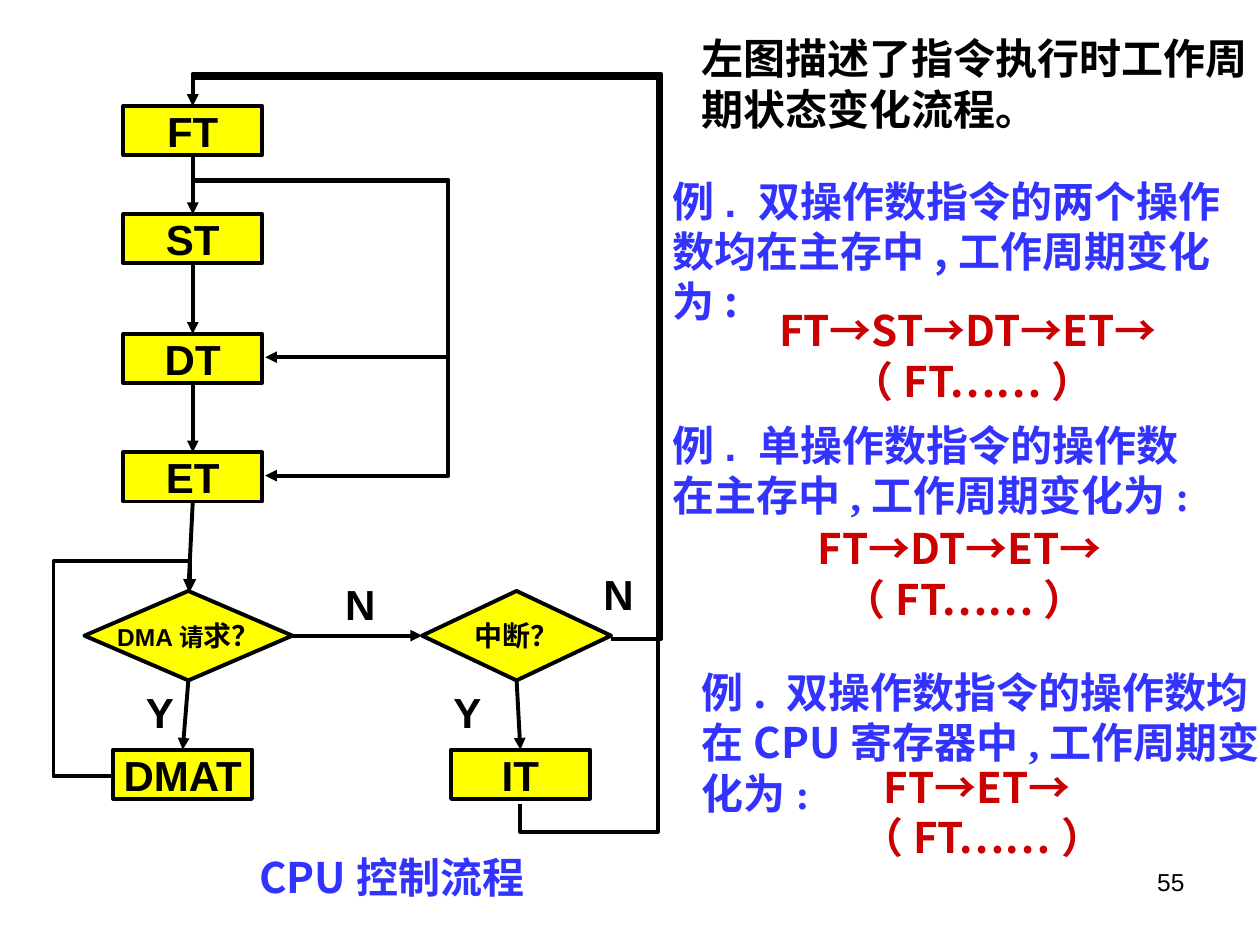
"""Build the slide showing how the CPU moves between work cycles."""
from dataclasses import dataclass
from typing import Any

from pptx import Presentation
from pptx.dml.color import RGBColor
from pptx.enum.shapes import MSO_CONNECTOR as Link, MSO_SHAPE as Shape
from pptx.enum.text import MSO_ANCHOR as Anchor, MSO_AUTO_SIZE as Fit, PP_ALIGN as Align
from pptx.oxml.ns import qn
from pptx.util import Inches, Pt

BLACK = RGBColor(0, 0, 0)
YELLOW = RGBColor(0xFF, 0xFF, 0)
BLUE = RGBColor(0x33, 0x33, 0xFF)
RED = RGBColor(0xCB, 0x01, 0x01)
ARIAL, TIMES, NOTO = "Arial", "Times New Roman", "Noto Sans CJK SC"
TOP, LEFT, BOTTOM, RIGHT = range(4)


def write(frame, *runs, size=24, color=BLACK, font=ARIAL, bold=True,
          align=Align.LEFT, anchor=Anchor.TOP, wrap=True):
    frame.word_wrap = wrap
    frame.vertical_anchor = anchor
    para = frame.paragraphs[0]
    para.alignment = align
    for item in runs:
        text, style = (item, {}) if isinstance(item, str) else item
        run = para.add_run()
        run.text = text
        run.font.size = Pt(style.get("size", size))
        run.font.bold = bold
        run.font.color.rgb = color
        run.font.name = style.get("font", font)
        east = run.font._element.makeelement(qn("a:ea"), {"typeface": NOTO})
        run.font._element.find(qn("a:latin")).addnext(east)


@dataclass
class Board:
    slide: Any
    fill: RGBColor = YELLOW
    ink: RGBColor = BLACK
    width: float = 2.25

    def node(self, kind, box, *runs, size=24):
        shape = self.slide.shapes.add_shape(kind, *map(Inches, box))
        shape.shadow.inherit = False
        shape.fill.solid()
        shape.fill.fore_color.rgb = self.fill
        shape.line.color.rgb = self.ink
        shape.line.width = Pt(self.width)
        write(shape.text_frame, *runs, size=size, align=Align.CENTER,
              anchor=Anchor.MIDDLE, wrap=False)
        return shape

    def step(self, left, top, text):
        return self.node(Shape.FLOWCHART_PROCESS, (left, top, 1.1, 0.39), text)

    def test(self, left, width, *runs):
        return self.node(Shape.FLOWCHART_DECISION, (left, 4.69, width, 0.71), *runs, size=16)

    def line(self, kind, *ends):
        line = self.slide.shapes.add_connector(kind, *map(Inches, ends))
        line.line.color.rgb = self.ink
        line.line.width = Pt(self.width)
        props = line._element.spPr
        stroke = props.find(qn("a:ln"))
        stroke.append(stroke.makeelement(qn("a:tailEnd"), {"type": "triangle"}))
        props.append(props.makeelement(qn("a:effectLst"), {}))
        return line

    def arrow(self, start, out, end, into):
        line = self.line(Link.STRAIGHT, 0, 0, 1, 1)
        line.begin_connect(start, out)
        line.end_connect(end, into)

    def bend(self, ends, turn, *stops):
        props = self.line(Link.ELBOW, *ends)._element.spPr
        props.find(qn("a:xfrm")).set("rot", str(turn * 60000))
        form = props.find(qn("a:prstGeom"))
        form.set("prst", f"bentConnector{len(stops) + 2}")
        guides = form.find(qn("a:avLst"))
        for num, stop in enumerate(stops, 1):
            guides.append(guides.makeelement(
                qn("a:gd"), {"name": f"adj{num}", "fmla": f"val {round(stop * 100000)}"}))

    def note(self, box, *runs, grow=True, **style):
        frame = self.slide.shapes.add_textbox(*map(Inches, box)).text_frame
        write(frame, *runs, **style)
        frame.auto_size = Fit.SHAPE_TO_FIT_TEXT if grow else Fit.NONE


def main():
    deck = Presentation()
    deck.slide_width, deck.slide_height = Inches(10), Inches(7.5)
    board = Board(deck.slides.add_slide(deck.slide_layouts[6]))

    board.note((7.17, 6.83, 2.33, 0.52), "55", size=14, bold=False,
               align=Align.RIGHT, grow=False)
    fetch, source, dest, run = [
        board.step(0.98, top, text)
        for top, text in ((0.84, "FT"), (1.7, "ST"), (2.65, "DT"), (3.59, "ET"))]
    dma, halt = board.step(0.9, 5.95, "DMAT"), board.step(3.58, 5.95, "IT")
    ask = board.test(0.67, 1.65, ("DMA请", {"size": 14}), "求？")
    check = board.test(3.35, 1.5, "中断？")

    chain = [fetch, source, dest, run, ask, dma]
    for start, end in zip(chain, chain[1:]):
        board.arrow(start, BOTTOM, end, TOP)
    board.arrow(ask, RIGHT, check, LEFT)
    board.arrow(check, BOTTOM, halt, TOP)

    board.bend((1.51, 4.69, 0.9, 6.16), 180, -0.78, 1.16)
    board.bend((4.85, 5.07, 1.53, 0.84), 0, -0.12, 1.06)
    board.bend((0.06, 4.91, 5.6, 2.31), 270, -0.04, -0.42, 1.04)
    board.bend((2.62, 1.75, 1.02, 2.32), 270, 0.12, 3.55)
    board.bend((3.09, 2.22, 0.55, 2.79), 270, 0.08, 3.55)

    for left, top, width, text in (
            (1.06, 5.4, 0.32, "Y"), (3.5, 5.4, 0.32, "Y"),
            (2.64, 4.54, 0.39, "N"), (4.69, 4.46, 0.39, "N")):
        board.note((left, top, width, 0.5), text)

    mid = {"anchor": Anchor.MIDDLE}
    board.note((1.69, 6.71, 2.84, 0.5), "CPU控制流程", color=BLUE, font=NOTO,
               align=Align.CENTER, **mid)
    board.note((5.47, 0.21, 4.53, 0.9), "左图描述了指令执行时工作周期状态变化流程。", **mid)
    tail = (",工作周期变化为:", {"font": TIMES})
    for box, runs in (
            ((5.24, 1.34, 4.76, 1.3),
             ("例. 双操作数指令", ("的两个操作数均在主存中,工作周期变化为:", {"font": NOTO}))),
            ((5.24, 3.28, 4.53, 0.9), ("例. 单操作数指令的操作数在主存中", tail)),
            ((5.47, 5.24, 4.74, 1.3),
             (("例. 双操作数指令的操作数均在CPU寄存器中", {"font": NOTO}), tail))):
        board.note(box, *runs, color=BLUE, **mid)
    for left, top, width, text in (
            (5.35, 2.57, 4.74, "FT→ST→DT→ET→（FT……）"),
            (5.61, 4.3, 4.09, "FT→DT→ET→（FT……）"),
            (6.11, 6.19, 3.37, "FT→ET→（FT……）")):
        board.note((left, top, width, 0.5), text, color=RED, font=NOTO,
                   align=Align.CENTER, wrap=False, **mid)

    deck.save("out.pptx")


if __name__ == "__main__":
    main()
